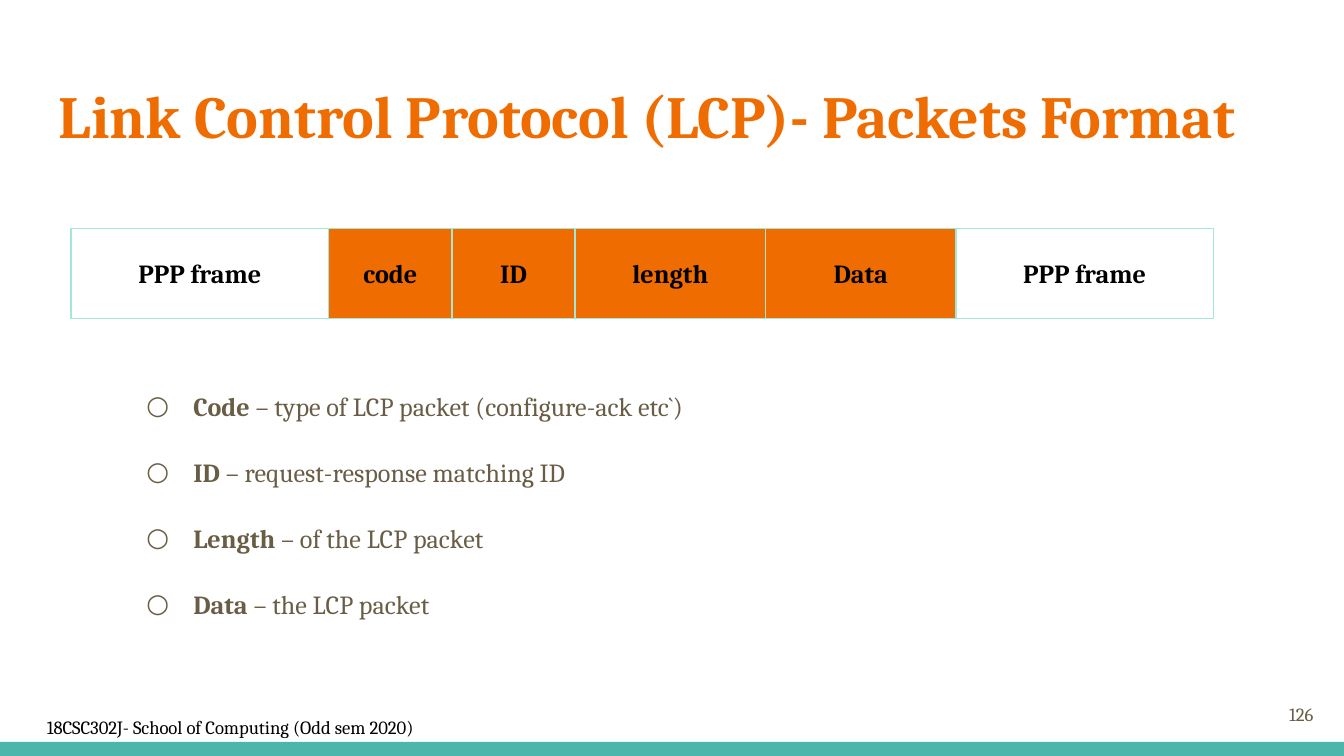
from itertools import accumulate

from lxml.etree import SubElement
from pptx import Presentation
from pptx.dml.color import RGBColor
from pptx.enum.shapes import MSO_SHAPE
from pptx.enum.text import MSO_ANCHOR, PP_ALIGN
from pptx.oxml.ns import qn
from pptx.util import Inches, Pt

TITLE = "Link Control Protocol (LCP)- Packets Format"
FOOTER = "18CSC302J- School of Computing (Odd sem 2020)"
PAGE_NUMBER = "126"
FIELDS = [
    ("PPP frame", 23, False),
    ("code", 11, True),
    ("ID", 11, True),
    ("length", 17, True),
    ("Data", 17, True),
    ("PPP frame", 23, False),
]
DEFINITIONS = [
    ("Code", " – type of LCP packet (configure-ack etc`)"),
    ("ID", " – request-response matching ID"),
    ("Length", " – of the LCP packet"),
    ("Data", " – the LCP packet"),
]
THEME = {
    "font": "Cambria",
    "accent": "EF6C00",
    "bar": "4DB6AC",
    "border": "A1E8D9",
    "muted": "695D46",
    "black": "000000",
    "title_size": 32,
    "body_size": 14,
    "small_size": 10,
}
SLIDE_WIDTH = 10
SLIDE_HEIGHT = SLIDE_WIDTH * 9 / 16
PACKET_LEFT, PACKET_TOP, PACKET_WIDTH, PACKET_HEIGHT = 0.53, 1.7, 8.5, 0.67
BAR_TOP = 5.52


def apply_format(target, values):
    for name, value in values.items():
        setattr(target, name, value)


def add_run(paragraph, text, size, color, bold=False):
    run = paragraph.add_run()
    run.text = text
    apply_format(run.font, {"name": THEME["font"], "size": Pt(THEME[size]), "bold": bold})
    run.font.color.rgb = RGBColor.from_string(THEME[color])


def add_text_box(slide, left, top, width, height, anchor=MSO_ANCHOR.TOP):
    box = slide.shapes.add_textbox(*map(Inches, (left, top, width, height)))
    margins = dict.fromkeys(
        ("margin_left", "margin_top", "margin_right", "margin_bottom"), Inches(0.1))
    apply_format(box.text_frame, {"word_wrap": True, "vertical_anchor": anchor, **margins})
    return box.text_frame


def add_rectangle(parent, left, top, width, height, fill=None, border=None):
    shape = parent.shapes.add_shape(
        MSO_SHAPE.RECTANGLE, *map(Inches, (left, top, width, height)))
    shape.shadow.inherit = False
    for part, color in ((shape.fill, fill), (shape.line.fill, border)):
        if color:
            part.solid()
            part.fore_color.rgb = RGBColor.from_string(THEME[color])
        else:
            part.background()
    if border:
        shape.line.width = Pt(0.75)
    return shape


def add_bullet(paragraph):
    properties = paragraph._p.get_or_add_pPr()
    attributes = {"marL": Inches(1), "indent": Inches(-0.35), "lvl": 1}
    for name, value in attributes.items():
        properties.set(name, str(value))
    bullet_color = SubElement(properties, qn("a:buClr"))
    SubElement(bullet_color, qn("a:srgbClr"), val=THEME["muted"])
    SubElement(properties, qn("a:buFont"), typeface=THEME["font"])
    SubElement(properties, qn("a:buChar"), char="○")


def add_packet(slide):
    group = slide.shapes.add_group_shape()
    shares = [share for _, share, _ in FIELDS]
    unit = PACKET_WIDTH / sum(shares)
    for start, (label, share, highlighted) in zip(accumulate(shares, initial=0), FIELDS):
        field = add_rectangle(group, PACKET_LEFT + start * unit, PACKET_TOP, share * unit,
                              PACKET_HEIGHT, "accent" if highlighted else None, "border")
        frame = field.text_frame
        apply_format(frame, {"word_wrap": False, "vertical_anchor": MSO_ANCHOR.MIDDLE})
        frame.paragraphs[0].alignment = PP_ALIGN.CENTER
        add_run(frame.paragraphs[0], label, "body_size", "black", True)


def add_definitions(slide):
    frame = add_text_box(slide, 0.34, 1.38, 9.32, 3.61)
    frame.margin_top = Inches(1.49)
    for index, (term, meaning) in enumerate(DEFINITIONS):
        paragraph = frame.add_paragraph() if index else frame.paragraphs[0]
        add_bullet(paragraph)
        apply_format(paragraph, {"line_spacing": 1.15, "space_before": Pt(16 if index else 0)})
        add_run(paragraph, term, "body_size", "muted", True)
        add_run(paragraph, meaning, "body_size", "muted")


def main():
    presentation = Presentation()
    apply_format(presentation, {"slide_width": Inches(SLIDE_WIDTH),
                                "slide_height": Inches(SLIDE_HEIGHT)})
    slide = presentation.slides.add_slide(presentation.slide_layouts[6])
    add_rectangle(slide, 0, BAR_TOP, SLIDE_WIDTH, SLIDE_HEIGHT - BAR_TOP, "bar")
    title = add_text_box(slide, 0.34, 0.49, 9.32, 0.77)
    add_run(title.paragraphs[0], TITLE, "title_size", "accent", True)
    add_definitions(slide)
    number = add_text_box(slide, 9.27, 5.1, 0.6, 0.43, MSO_ANCHOR.MIDDLE)
    number.paragraphs[0].alignment = PP_ALIGN.RIGHT
    add_run(number.paragraphs[0], PAGE_NUMBER, "small_size", "muted")
    footer = add_text_box(slide, 0.25, 5.24, 3.61, 0.24)
    add_run(footer.paragraphs[0], FOOTER, "small_size", "black")
    add_packet(slide)
    presentation.save("out.pptx")


if __name__ == "__main__":
    main()
